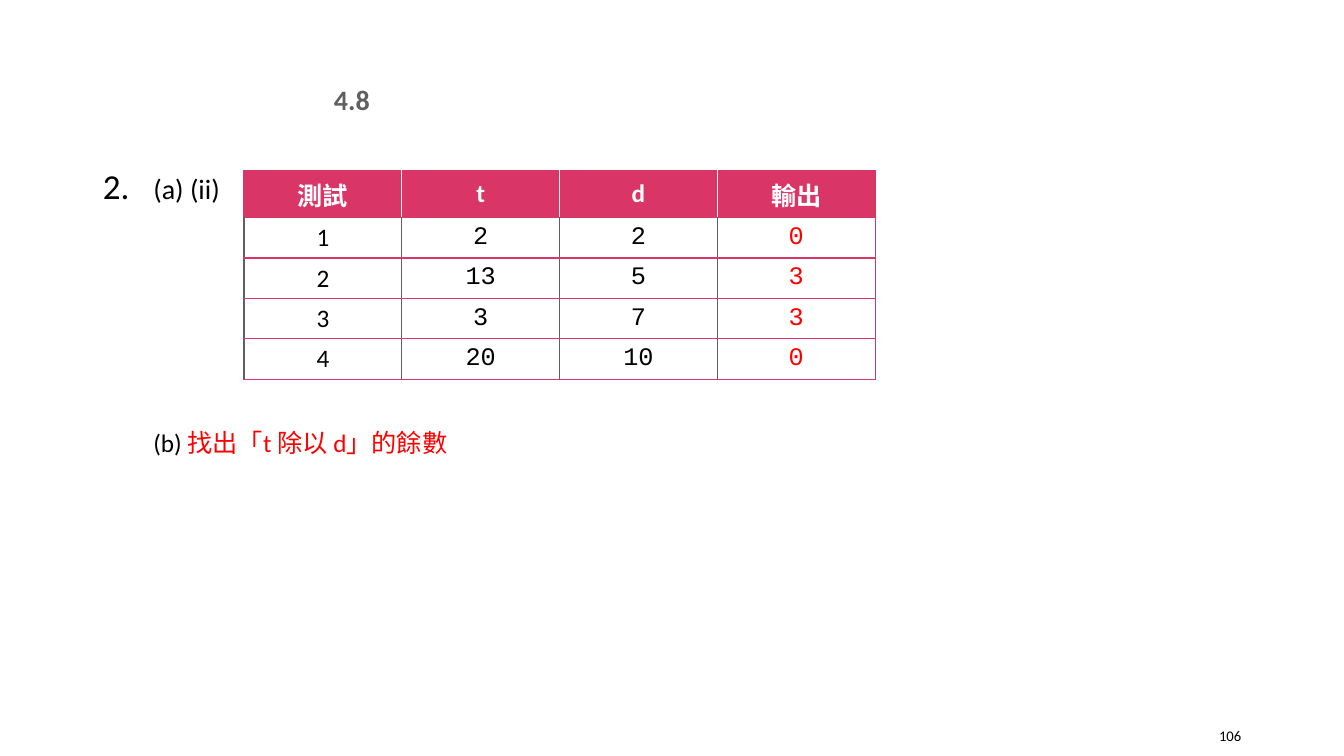
from lxml.etree import SubElement
from pptx import Presentation
from pptx.dml.color import RGBColor
from pptx.enum.text import MSO_ANCHOR, MSO_AUTO_SIZE, PP_ALIGN
from pptx.oxml import parse_xml
from pptx.oxml.ns import nsdecls, qn
from pptx.util import Inches, Pt

COLORS = {
    "black": "000000",
    "white": "FFFFFF",
    "gray": "606060",
    "pink": "D93567",
    "red": "FF0000",
}
ROWS = [
    ["測試", "t", "d", "輸出"],
    ["1", "2", "2", "0"],
    ["2", "13", "5", "3"],
    ["3", "3", "7", "3"],
    ["4", "20", "10", "0"],
]


def place(shape, left, top, width, height):
    shape.left, shape.top = Inches(left), Inches(top)
    shape.width, shape.height = Inches(width), Inches(height)


def add_run(para, text, size, color="black", bold=False, face="Calibri"):
    run = para.add_run()
    run.text = text
    font = run.font
    font.size, font.bold, font.name = Pt(size), bold, face
    font.color.rgb = RGBColor.from_string(COLORS[color])


def set_list(para, start=None):
    props = para._p.get_or_add_pPr()
    props.set("marL", str(Inches(0.5)))
    props.set("indent", str(Inches(-0.5 if start else 0)))
    if start:
        SubElement(props, qn("a:buSzPct"), val="125000")
        SubElement(props, qn("a:buFont"), typeface="Calibri")
        SubElement(props, qn("a:buAutoNum"), type="arabicPeriod", startAt=str(start))
    else:
        SubElement(props, qn("a:buNone"))
    para.line_spacing = 1.2


def add_title(slide):
    title = slide.shapes.title
    place(title, 3.02, 0.83, 0.94, 0.31)
    frame = title.text_frame
    frame.auto_size = MSO_AUTO_SIZE.NONE
    frame.vertical_anchor = MSO_ANCHOR.MIDDLE
    para = frame.paragraphs[0]
    para.alignment = PP_ALIGN.CENTER
    add_run(para, "4.8", 20, "gray", True)


def add_body(slide):
    body = slide.placeholders[1]
    place(body, 0.92, 1.58, 11.5, 5.31)
    frame = body.text_frame
    frame.auto_size = MSO_AUTO_SIZE.NONE
    first = frame.paragraphs[0]
    set_list(first, 2)
    first.space_before = Pt(0)
    add_run(first, "(a) (ii)", 20)
    second = frame.add_paragraph()
    second.level = 1
    set_list(second)
    second.space_before = Pt(155)
    add_run(second, "(b) ", 18)
    add_run(second, "找出「t 除以 d」的餘數", 18, "red")


def set_lines(cell, sides):
    props = cell._tc.get_or_add_tcPr()
    for spot, (side, color) in enumerate(sides.items()):
        props.insert(spot, parse_xml(
            f'<a:ln{side} {nsdecls("a")} w="{Pt(1)}"><a:solidFill>'
            f'<a:srgbClr val="{COLORS[color]}"/></a:solidFill></a:ln{side}>'))


def fill_cell(cell, text, row, col):
    head, last = row == 0, len(ROWS[0]) - 1
    cell.vertical_anchor = MSO_ANCHOR.MIDDLE
    para = cell.text_frame.paragraphs[0]
    para.alignment = PP_ALIGN.CENTER
    if head:
        cell.fill.solid()
        cell.fill.fore_color.rgb = RGBColor.from_string(COLORS["pink"])
        add_run(para, text, 18, "white", True)
    else:
        cell.fill.background()
        color = "red" if col == last else "black"
        add_run(para, text, 18, color, face="Courier New" if col else "Calibri")
    inner = "white" if head else "gray"
    set_lines(cell, {
        "L": "pink" if head and col == 0 else inner,
        "R": "pink" if col == last else inner,
        "T": "pink",
        "B": "pink",
    })


def add_tests(slide):
    count = len(ROWS[0])
    frame = slide.shapes.add_table(
        len(ROWS), count, Inches(2.42), Inches(1.69), Inches(6.26), Inches(2.08))
    table = frame.table
    table.horz_banding = False
    for column in table.columns:
        column.width = Inches(6.26 / count)
    for row, texts in enumerate(ROWS):
        table.rows[row].height = Inches(0.4 if row else 0.47)
        for col, text in enumerate(texts):
            fill_cell(table.cell(row, col), text, row, col)


def add_number(slide):
    box = slide.shapes.add_textbox(
        Inches(11.57), Inches(7.1), Inches(0.84), Inches(0.4))
    frame = box.text_frame
    frame.word_wrap = True
    frame.vertical_anchor = MSO_ANCHOR.MIDDLE
    para = frame.paragraphs[0]
    para.alignment = PP_ALIGN.RIGHT
    add_run(para, "106", 10.5)


def main():
    deck = Presentation()
    deck.slide_width, deck.slide_height = Inches(13.33), Inches(7.5)
    slide = deck.slides.add_slide(deck.slide_layouts[1])
    add_body(slide)
    add_number(slide)
    add_title(slide)
    add_tests(slide)
    deck.save("out.pptx")


if __name__ == "__main__":
    main()
